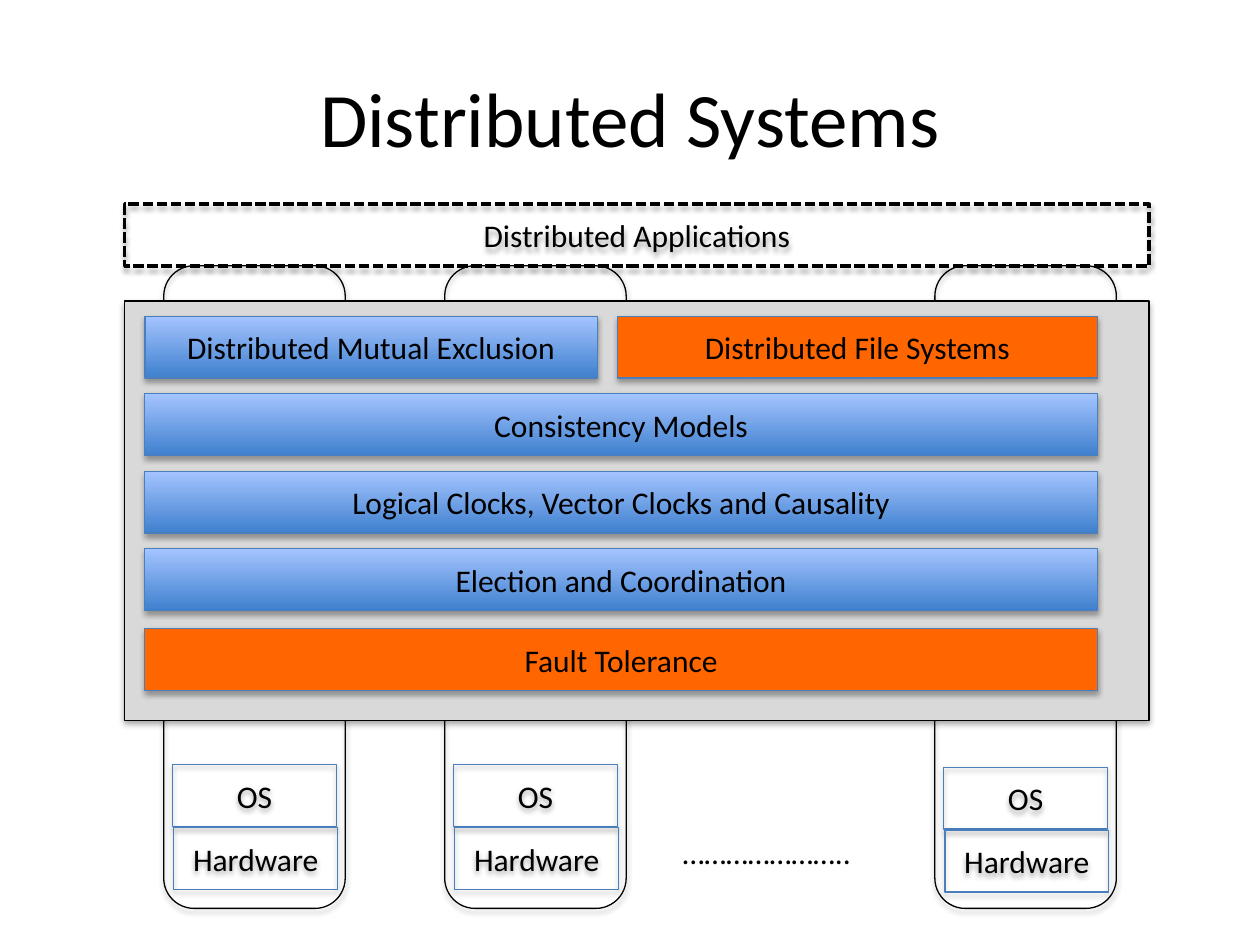
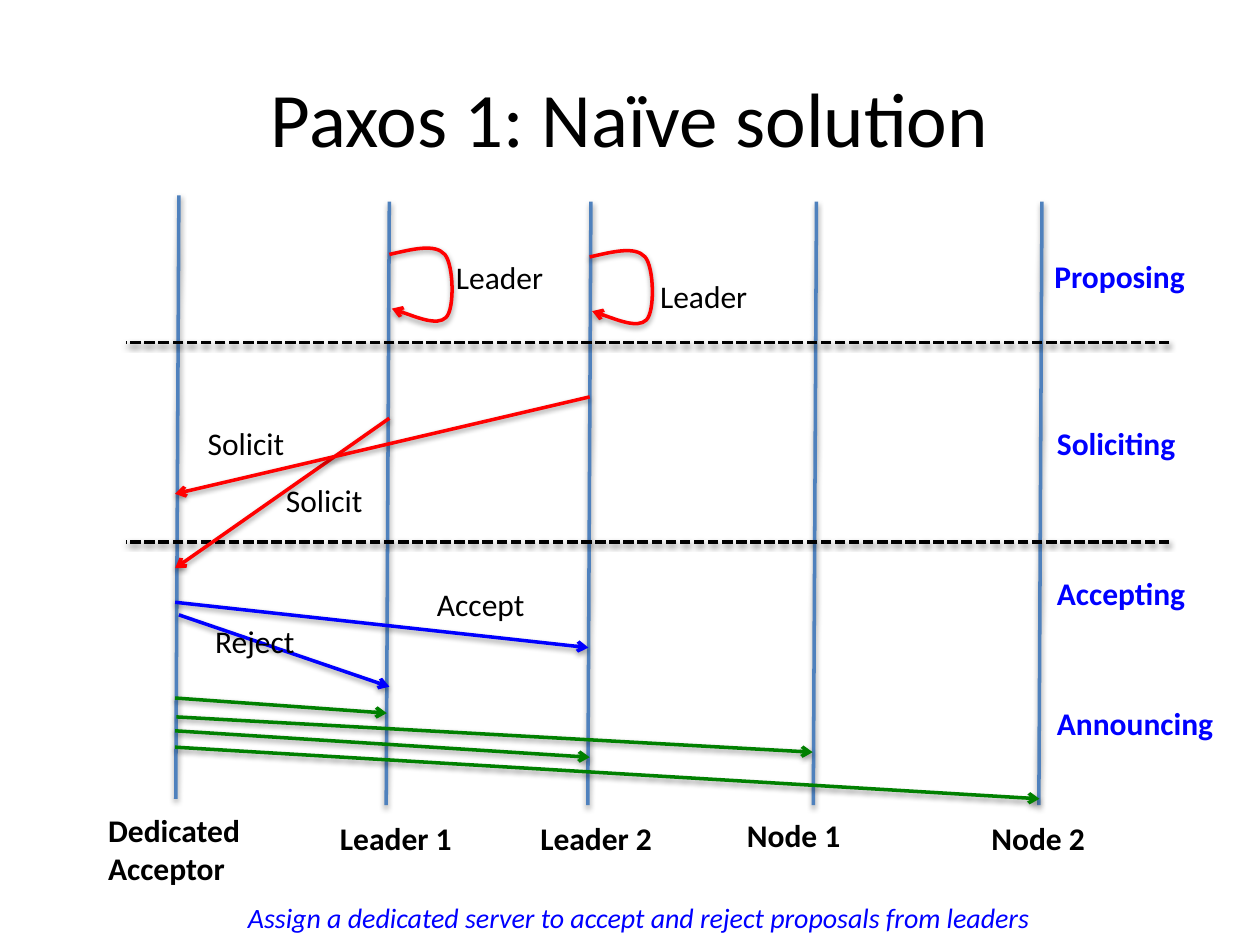
from pptx import Presentation
from pptx.dml.color import RGBColor
from pptx.enum.dml import MSO_LINE
from pptx.enum.shapes import MSO_CONNECTOR, MSO_SHAPE
from pptx.enum.text import MSO_ANCHOR, MSO_AUTO_SIZE, PP_ALIGN
from pptx.oxml import parse_xml
from pptx.oxml.ns import nsdecls, qn
from pptx.util import Inches, Pt

FONT = "Calibri"
BLACK = RGBColor(0x00, 0x00, 0x00)
GRAY = RGBColor(0xD9, 0xD9, 0xD9)
ORANGE = RGBColor(0xFF, 0x66, 0x00)
DEEP_BLUE = RGBColor(0x3F, 0x80, 0xCE)
PALE_BLUE = RGBColor(0xA4, 0xC4, 0xFF)
EDGE_BLUE = RGBColor(0x4B, 0x7E, 0xBC)
LIFELINE_BLUE = RGBColor(0x4F, 0x81, 0xBD)
RED = RGBColor(0xFF, 0x00, 0x00)
BLUE = RGBColor(0x00, 0x00, 0xFF)
GREEN = RGBColor(0x00, 0x80, 0x00)
BLUE_GRADIENT = (DEEP_BLUE, PALE_BLUE)
ROW_H = 0.49


def add_shadow(s, distance, opacity):
    s.element.spPr.append(parse_xml(
        f'<a:effectLst {nsdecls("a")}><a:outerShdw blurRad="{Pt(3.15)}" '
        f'dist="{Pt(distance)}" dir="5400000" rotWithShape="0">'
        f'<a:srgbClr val="000000"><a:alpha val="{opacity * 1000}"/></a:srgbClr>'
        '</a:outerShdw></a:effectLst>'))


def style_line(s, color, width=2, dashed=False, arrow=False):
    s.line.color.rgb = color
    s.line.width = Pt(width)
    if dashed:
        s.line.dash_style = MSO_LINE.SQUARE_DOT
    if arrow:
        s.line._get_or_add_ln().append(
            parse_xml(f'<a:tailEnd {nsdecls("a")} type="arrow"/>'))


def style_font(p, color=BLACK, size=18, bold=False, italic=False):
    f = p.font
    f.name, f.size, f.bold, f.italic = FONT, Pt(size), bold, italic
    f.color.rgb = color


def add_titled_slide(prs, title):
    slide = prs.slides.add_slide(prs.slide_layouts[5])
    s = slide.shapes.title
    s.left, s.top, s.width, s.height = map(Inches, (0.5, 0.3, 9, 1.25))
    s.text_frame.text = title
    s.text_frame.vertical_anchor = MSO_ANCHOR.MIDDLE
    p = s.text_frame.paragraphs[0]
    p.alignment = PP_ALIGN.CENTER
    style_font(p, size=44)
    return slide


def add_box(slide, left, top, width, height, text="", fill=None, edge=EDGE_BLUE,
            edge_width=0.75, dashed=False, kind=MSO_SHAPE.RECTANGLE):
    s = slide.shapes.add_shape(kind, *map(Inches, (left, top, width, height)))
    if fill is None:
        s.fill.background()
    elif fill is BLUE_GRADIENT:
        s.fill.gradient()
        s.fill.gradient_angle = 90
        for stop, color in zip(s.fill.gradient_stops, fill):
            stop.color.rgb = color
    else:
        s.fill.solid()
        s.fill.fore_color.rgb = fill
    style_line(s, edge, edge_width, dashed)
    add_shadow(s, 1.81, 35)
    if text:
        tf = s.text_frame
        tf.text = text
        tf.vertical_anchor = MSO_ANCHOR.MIDDLE
        p = tf.paragraphs[0]
        p.alignment = PP_ALIGN.CENTER
        style_font(p)


def add_label(slide, left, top, width, text, height=0.4, **font):
    s = slide.shapes.add_textbox(*map(Inches, (left, top, width, height)))
    tf = s.text_frame
    tf.word_wrap = False
    tf.auto_size = MSO_AUTO_SIZE.SHAPE_TO_FIT_TEXT
    tf.text = text
    for p in tf.paragraphs:
        style_font(p, **font)


def add_line(slide, x1, y1, x2, y2, color, **style):
    s = slide.shapes.add_connector(
        MSO_CONNECTOR.STRAIGHT, *map(Inches, (x1, y1, x2, y2)))
    style_line(s, color, **style)
    add_shadow(s, 1.57, 38)


def add_machine(slide, left, top):
    add_box(slide, left, top, 1.44, 5.1, edge=BLACK,
            kind=MSO_SHAPE.ROUNDED_RECTANGLE)


def add_machine_stack(slide, left, top):
    add_box(slide, left, top, 1.3, ROW_H, "OS")
    add_box(slide, left + 0.01, top + 0.5, 1.3, ROW_H, "Hardware")


def add_middleware(slide, left, top, width, height):
    add_box(slide, left, top, width, height, fill=GRAY, edge=BLACK)
    x, y, full = left + 0.16, top + 0.12, 7.56
    add_box(slide, x, y, 3.59, ROW_H, "Distributed Mutual Exclusion", BLUE_GRADIENT)
    add_box(slide, x + 3.75, y, 3.81, ROW_H, "Distributed File Systems", ORANGE)
    layers = ("Consistency Models", "Logical Clocks, Vector Clocks and Causality",
              "Election and Coordination")
    for i, text in enumerate(layers, 1):
        add_box(slide, x, y + i * 0.615, full, ROW_H, text, BLUE_GRADIENT)
    add_box(slide, x, y + 2.48, full, ROW_H, "Fault Tolerance", ORANGE)


def build_layers_slide(prs):
    slide = add_titled_slide(prs, "Distributed Systems")
    machines = ((1.3, 6.07), (3.53, 6.07), (7.42, 6.09))
    for left, _ in machines:
        add_machine(slide, left, 2.11)
    add_box(slide, 0.99, 1.62, 8.13, ROW_H, "Distributed Applications",
            edge=BLACK, edge_width=2, dashed=True)
    add_middleware(slide, 0.99, 2.39, 8.13, 3.33)
    for left, stack_top in machines:
        add_machine_stack(slide, left + 0.07, stack_top)
    add_label(slide, 5.32, 6.56, 1.55, "…" * 7 + "..")


def add_lifelines(slide, left, top):
    lifelines = (
        (0.42, 0.05, "Dedicated\nAcceptor", -0.24, 4.89, 1.27, 0.71),
        (2.09, 0.1, "Leader 1", 1.6, 4.95, 1.1, 0.4),
        (3.69, 0.1, "Leader 2", 3.19, 4.95, 1.1, 0.4),
        (5.48, 0.1, "Node 1", 4.83, 4.93, 0.95, 0.4),
        (7.27, 0.1, "Node 2", 6.77, 4.95, 0.95, 0.4))
    for x, y, name, name_x, name_y, width, height in lifelines:
        add_line(slide, left + x, top + y, left + x - 0.025, top + y + 4.79,
                 LIFELINE_BLUE)
        add_label(slide, left + name_x, top + name_y, width, name, height, bold=True)


def add_phases(slide, left, top, width):
    for y in (1.22, 2.8):
        add_line(slide, left + width, top + y, left, top + y, BLACK, dashed=True)
    phases = (("Proposing", 7.27, 0.49, 1.25), ("Soliciting", 7.29, 1.82, 1.16),
              ("Accepting", 7.29, 3.01, 1.24), ("Announcing", 7.29, 4.04, 1.46))
    for name, x, y, label_width in phases:
        add_label(slide, left + x, top + y, label_width, name, color=BLUE, bold=True)


def add_self_loop(slide, left, top):
    points = ((0, 0.07), (0.18, 0.03), (0.36, -0.02), (0.44, 0.07),
              (0.51, 0.15), (0.52, 0.5), (0.45, 0.57),
              (0.38, 0.64), (0.02, 0.5), (0.02, 0.5))
    start, *rest = [(Inches(left + x), Inches(top + y)) for x, y in points]
    builder = slide.shapes.build_freeform(*start)
    builder.add_line_segments(rest, close=False)
    s = builder.convert_to_shape()
    outline = s.element.spPr.find(".//" + qn("a:path"))
    segments = outline.findall(qn("a:lnTo"))
    for i in range(0, len(segments), 3):
        curve = parse_xml(f'<a:cubicBezTo {nsdecls("a")}/>')
        outline.append(curve)
        for segment in segments[i:i + 3]:
            curve.append(segment[0])
            outline.remove(segment)
    s.fill.background()
    style_line(s, RED, arrow=True)
    add_shadow(s, 1.57, 38)


def add_messages(slide, left, top):
    for x, y in ((2.09, 0.45), (3.68, 0.47)):
        add_self_loop(slide, left + x, top + y)
    messages = (
        (RED, 2.09, 1.82, 0.39, 3.01), (RED, 3.68, 1.65, 0.39, 2.42),
        (BLUE, 0.39, 3.28, 3.67, 3.64), (BLUE, 0.42, 3.38, 2.09, 3.95),
        (GREEN, 0.39, 4.04, 2.07, 4.16), (GREEN, 0.4, 4.19, 5.45, 4.47),
        (GREEN, 0.39, 4.3, 3.68, 4.51), (GREEN, 0.39, 4.43, 7.25, 4.84))
    for color, x1, y1, x2, y2 in messages:
        add_line(slide, left + x1, top + y1, left + x2, top + y2, color, arrow=True)
    labels = (("Leader", 2.52, 0.5, 0.91), ("Leader", 4.14, 0.65, 0.91),
              ("Solicit", 0.55, 1.82, 0.82), ("Solicit", 1.17, 2.27, 0.82),
              ("Accept", 2.37, 3.09, 0.9), ("Reject", 0.61, 3.39, 0.85))
    for text, x, y, width in labels:
        add_label(slide, left + x, top + y, width, text)


def build_paxos_slide(prs):
    slide = add_titled_slide(prs, "Paxos 1: Naïve solution")
    left, top = 1, 1.5
    add_lifelines(slide, left, top)
    add_phases(slide, left, top, 8.28)
    add_messages(slide, left, top)
    add_label(slide, 1.87, 7.1, 6.54,
              "Assign a dedicated server to accept and reject proposals from leaders",
              0.37, color=BLUE, size=16, italic=True)


prs = Presentation()
prs.slide_width, prs.slide_height = Inches(10), Inches(7.5)
build_layers_slide(prs)
build_paxos_slide(prs)
prs.save("out.pptx")
